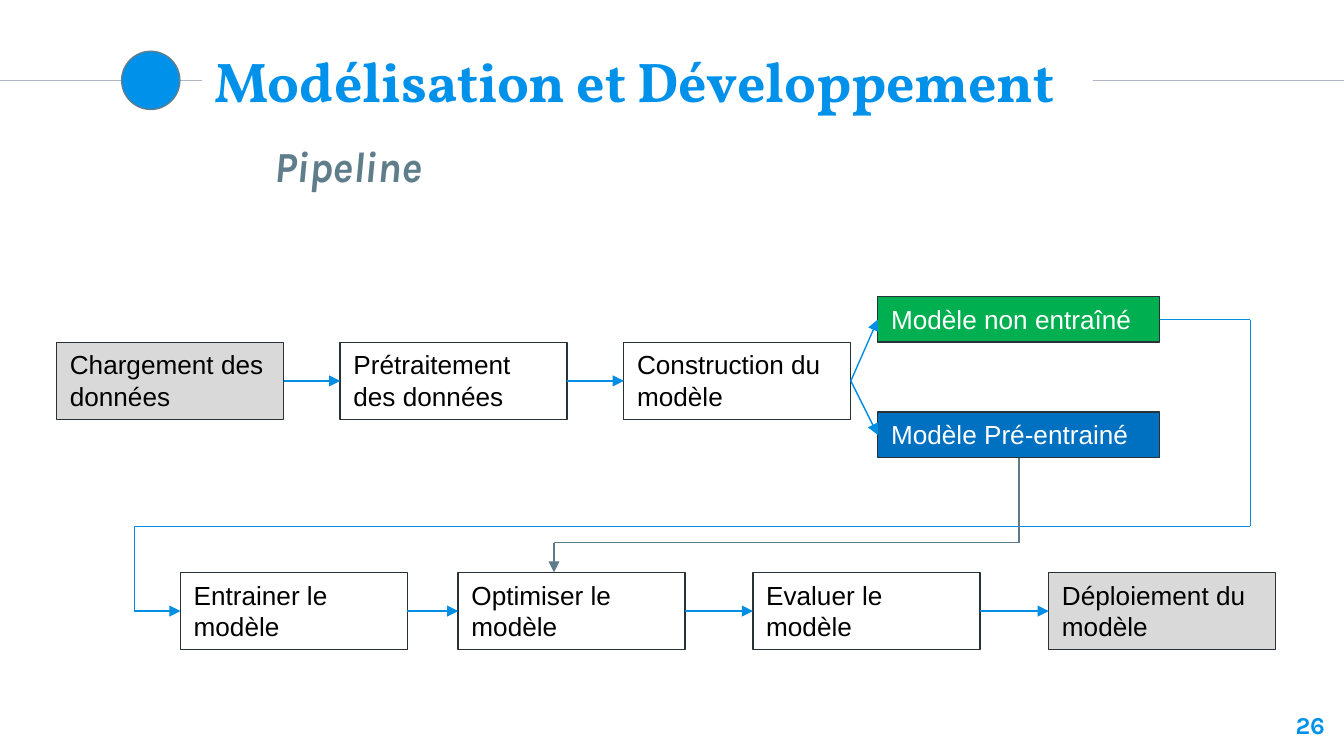
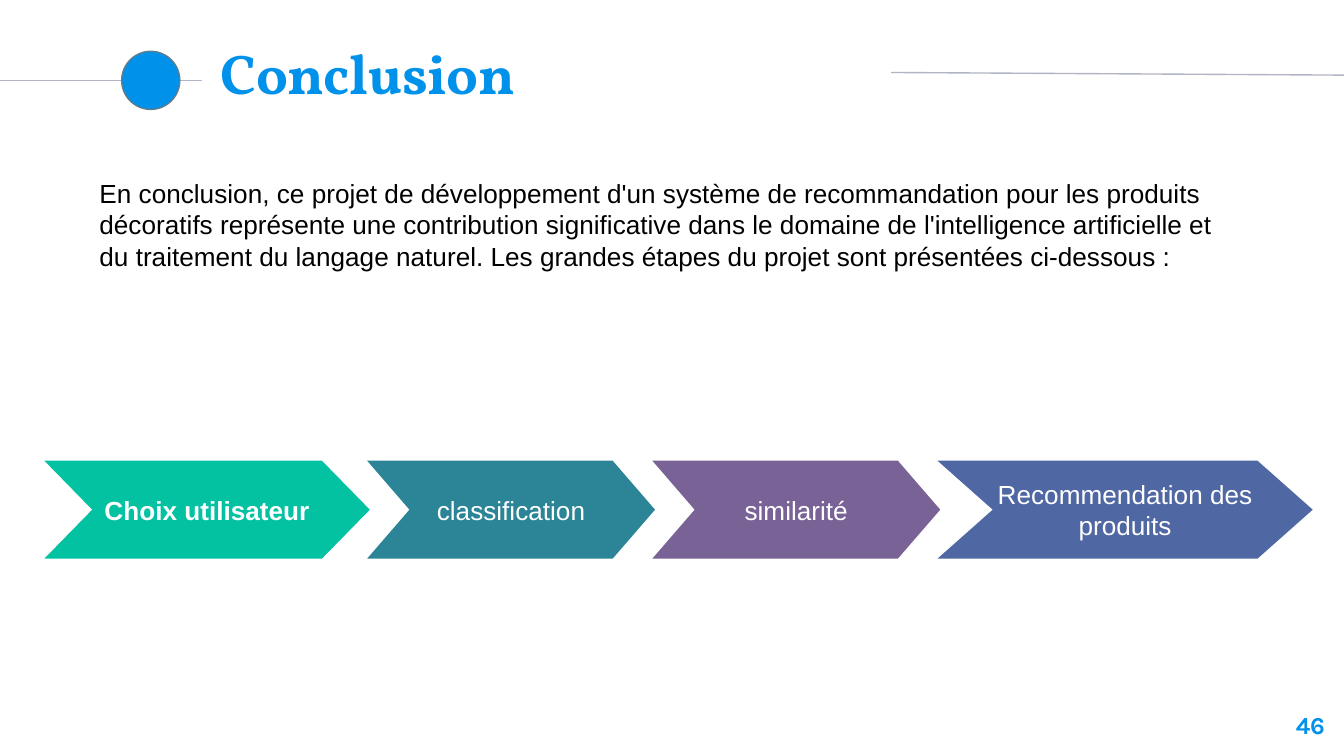
from collections import namedtuple
from dataclasses import dataclass
from itertools import pairwise

from lxml.etree import SubElement
from pptx import Presentation
from pptx.dml.color import RGBColor
from pptx.enum.shapes import MSO_CONNECTOR, MSO_SHAPE
from pptx.enum.text import MSO_ANCHOR, MSO_AUTO_SIZE, PP_ALIGN
from pptx.oxml.ns import qn
from pptx.util import Cm, Pt


@dataclass(frozen=True)
class Theme:
    accent: str = "0091EA"
    arrow: str = "008EE5"
    slate: str = "607D8B"
    slate_arrow: str = "5D7B89"
    rule: str = "B1B4C4"
    outline: str = "263238"
    grey: str = "D9D9D9"
    green: str = "00B050"
    blue: str = "0070C0"
    black: str = "000000"
    white: str = "FFFFFF"
    steps: tuple = ("03C2A2", "2B8597", "796295", "4F67A2")
    title_font: str = "Vollkorn"
    label_font: str = "Karla"
    body_font: str = "Arial"
    title_size: int = 30
    subtitle_size: int = 23
    number_size: int = 13
    body_size: int = 14
    line_width: float = 0.75


THEME = Theme()
TITLE = dict(name=THEME.title_font, size=Pt(THEME.title_size), bold=True)
SUBTITLE = dict(name=THEME.label_font, size=Pt(THEME.subtitle_size), bold=True, italic=True)
NUMBER = dict(name=THEME.label_font, size=Pt(THEME.number_size), bold=True)
BODY = dict(name=THEME.body_font, size=Pt(THEME.body_size), bold=False)
EVEN_INSETS = dict.fromkeys(
    ("margin_left", "margin_top", "margin_right", "margin_bottom"), Cm(0.25))
NO_INSETS = dict.fromkeys(EVEN_INSETS, 0)

Box = namedtuple("Box", "left top width height")  # centimetres


class Port(namedtuple("Port", "shape side")):
    """Middle of a rectangle's side: 0 top, 1 left, 2 bottom, 3 right."""

    @property
    def point(self):
        shape = self.shape
        across, down = ((1, 0), (0, 1), (1, 2), (2, 1))[self.side]
        return (shape.left + shape.width * across // 2,
                shape.top + shape.height * down // 2)


def colour(value):
    return RGBColor.from_string(value)


def apply(target, values):
    for attribute, value in values.items():
        setattr(target, attribute, value)


def write(shape, text, font, ink, align=PP_ALIGN.LEFT, **frame_format):
    frame = shape.text_frame
    apply(frame, dict(word_wrap=True, auto_size=MSO_AUTO_SIZE.NONE,
                      vertical_anchor=MSO_ANCHOR.TOP) | frame_format)
    paragraph = frame.paragraphs[0]
    paragraph.alignment = align
    run = paragraph.add_run()
    run.text = text
    apply(run.font, font)
    run.font.color.rgb = colour(ink)


def add_text(slide, box, text, font, ink, **options):
    area = slide.shapes.add_textbox(*map(Cm, box))
    write(area, text, font, ink, **options)


def add_figure(slide, preset, box, fill=None, outline=None):
    figure = slide.shapes.add_shape(preset, *map(Cm, box))
    figure.shadow.inherit = False
    if fill:
        figure.fill.solid()
        figure.fill.fore_color.rgb = colour(fill)
    else:
        figure.fill.background()
    if outline:
        figure.line.color.rgb = colour(outline)
        figure.line.width = Pt(THEME.line_width)
    else:
        figure.line.fill.background()
    return figure


def add_line(slide, start, end, ink, arrow=False):
    """Straight line between two points or ports."""
    points = [stop.point if isinstance(stop, Port) else stop for stop in (start, end)]
    link = slide.shapes.add_connector(MSO_CONNECTOR.STRAIGHT, *points[0], *points[1])
    for stop, join in ((start, link.begin_connect), (end, link.end_connect)):
        if isinstance(stop, Port):
            join(stop.shape, stop.side)
    link.line.color.rgb = colour(ink)
    link.line.width = Pt(THEME.line_width)
    properties = link.line._get_or_add_ln()
    if arrow:
        SubElement(properties, qn("a:tailEnd"), type="triangle")
    SubElement(properties.getparent(), qn("a:effectLst"))


def add_route(slide, stops, ink=THEME.arrow):
    """Chain of lines with an arrowhead on the last one."""
    legs = list(pairwise(stops))
    for start, end in legs:
        add_line(slide, start, end, ink, arrow=end is stops[-1])


# Shared header and slide number
def add_frame(deck, title, title_box, rule_start, rule_end, number):
    slide = deck.slides.add_slide(deck.slide_layouts[5])
    heading = slide.shapes.title
    apply(heading, dict(zip(Box._fields, map(Cm, title_box))))
    write(heading, title, TITLE, THEME.accent,
          vertical_anchor=MSO_ANCHOR.MIDDLE, **EVEN_INSETS)

    add_line(slide, (0, Cm(1.52)), (Cm(3.81), Cm(1.52)), THEME.rule)
    add_line(slide, [Cm(v) for v in rule_start], [Cm(v) for v in rule_end], THEME.rule)
    add_figure(slide, MSO_SHAPE.OVAL, Box(2.3, 0.97, 1.1, 1.1), THEME.accent, THEME.slate)
    add_text(slide, Box(23.77, 13.18, 1.52, 1.09), number, NUMBER, THEME.accent,
             align=PP_ALIGN.RIGHT, **EVEN_INSETS)
    return slide


# Pipeline diagram
def add_stage(slide, box, text, fill=None, ink=THEME.black):
    stage = add_figure(slide, MSO_SHAPE.RECTANGLE, box, fill, THEME.outline)
    write(stage, text, BODY, ink)
    return stage


def add_pipeline(slide, box):
    stage_width, stage_height, model_height = 4.29, 1.46, 0.86
    bottom_top = box.height - stage_height

    def place(left, top, width=stage_width, height=stage_height):
        return Box(box.left + left, box.top + top, width, height)

    # Preparation row
    preparation = [
        add_stage(slide, place(5.36 * column, model_height), text, fill)
        for column, (text, fill) in enumerate((
            ("Chargement des données", THEME.grey),
            ("Prétraitement des données", None),
            ("Construction du modèle", None)))]

    # Two kinds of model
    untrained, pretrained = [
        add_stage(slide, place(15.52, top, 5.33, model_height), text, fill, THEME.white)
        for top, text, fill in ((0, "Modèle non entraîné", THEME.green),
                                (2.18, "Modèle Pré-entrainé", THEME.blue))]

    # Training row
    training = [
        add_stage(slide, place(left, bottom_top), text, fill)
        for left, text, fill in (
            (2.34, "Entrainer le modèle", None),
            (7.59, "Optimiser le modèle", None),
            (13.16, "Evaluer le modèle", None),
            (18.75, "Déploiement du modèle", THEME.grey))]

    # Arrows along the rows and to both models
    links = [*pairwise(preparation), *pairwise(training),
             (preparation[-1], untrained), (preparation[-1], pretrained)]
    for source, target in links:
        add_route(slide, [Port(source, 3), Port(target, 1)])

    # Untrained model goes back to training
    leave, arrive = Port(untrained, 3), Port(training[0], 1)
    right, left = Cm(box.left + 22.56), Cm(box.left + 1.47)
    lane = Cm(box.top + 4.34)
    add_route(slide, [leave, (right, leave.point[1]), (right, lane), (left, lane),
                      (left, arrive.point[1]), arrive])

    # Pre-trained model goes straight to optimisation
    leave = Port(pretrained, 2)
    drop, lane = Cm(box.left + 9.4), Cm(box.top + 4.65)
    add_route(slide, [leave, (leave.point[0], lane), (drop, lane),
                      (drop, training[1].top)], THEME.slate_arrow)


# Chevron chain
def add_steps(slide, box):
    overlap, point_share = 0.05, 0.147
    steps = (("Choix utilisateur", 6.15), ("classification", 5.44),
             ("similarité", 5.44), ("Recommendation des produits", 7.09))
    left = box.left
    for index, ((text, width), fill) in enumerate(zip(steps, THEME.steps)):
        chevron = add_figure(slide, MSO_SHAPE.CHEVRON,
                             Box(left, box.top, width, box.height), fill)
        chevron.adjustments[0] = point_share * width / box.height
        write(chevron, text, BODY | dict(bold=index == 0), THEME.white,
              align=PP_ALIGN.CENTER, vertical_anchor=MSO_ANCHOR.MIDDLE, **NO_INSETS)
        left += width - overlap


def add_pipeline_slide(deck):
    slide = add_frame(deck, "Modélisation et Développement",
                      Box(3.81, 0.91, 19.76, 1.22), (20.65, 1.52), (25.4, 1.52), "26")
    add_text(slide, Box(4.93, 2.39, 15.11, 1.5), "Pipeline", SUBTITLE, THEME.slate,
             **EVEN_INSETS)
    add_pipeline(slide, Box(1.07, 5.61, 23.04, 6.67))


def add_conclusion_slide(deck):
    slide = add_frame(deck, "Conclusion",
                      Box(3.91, 0.76, 12.5, 1.22), (16.84, 1.37), (25.4, 1.42), "46")
    add_text(slide, Box(1.63, 3.23, 22, 2.06),
             "En conclusion, ce projet de développement d'un système de recommandation "
             "pour les produits décoratifs représente une contribution significative dans "
             "le domaine de l'intelligence artificielle et du traitement du langage "
             "naturel. Les grandes étapes du projet sont présentées ci-dessous :",
             BODY, THEME.black)
    add_steps(slide, Box(0.84, 8.71, 23.97, 1.85))


def main():
    deck = Presentation()
    apply(deck, dict(slide_width=Cm(25.4), slide_height=Cm(14.29)))
    add_pipeline_slide(deck)
    add_conclusion_slide(deck)
    deck.save("out.pptx")


if __name__ == "__main__":
    main()
